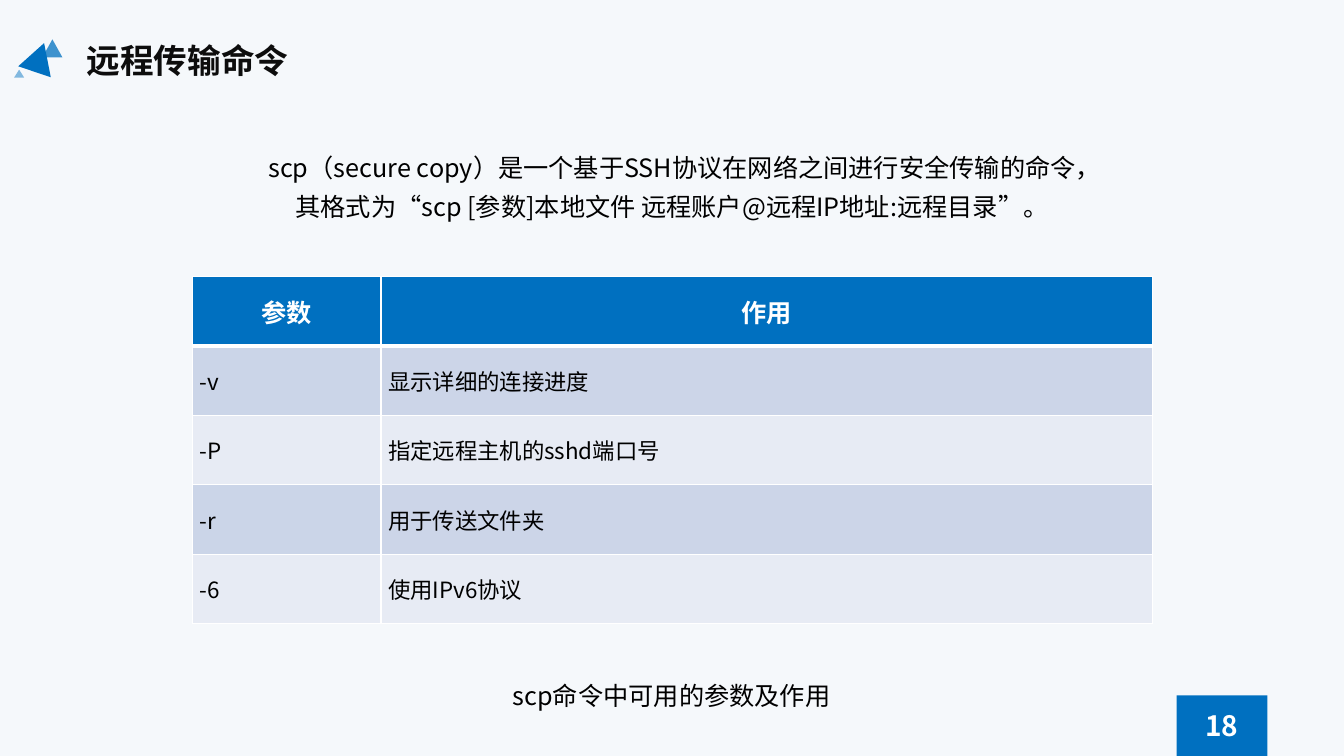
from lxml import etree
from pptx import Presentation
from pptx.dml.color import RGBColor
from pptx.enum.shapes import MSO_SHAPE
from pptx.enum.text import MSO_ANCHOR, MSO_AUTO_SIZE, PP_ALIGN
from pptx.oxml.ns import qn
from pptx.util import Inches, Pt

LEFT, CENTER, JUSTIFY = PP_ALIGN.LEFT, PP_ALIGN.CENTER, PP_ALIGN.JUSTIFY
TOP, MIDDLE = MSO_ANCHOR.TOP, MSO_ANCHOR.MIDDLE
GROW = MSO_AUTO_SIZE.SHAPE_TO_FIT_TEXT
TRIANGLE, RECTANGLE = MSO_SHAPE.ISOSCELES_TRIANGLE, MSO_SHAPE.RECTANGLE

FONT = "Noto Sans CJK SC"
BLUE, WHITE, BLACK = "0070C0", "FFFFFF", "000000"
BACKGROUND, TITLE_COLOR = "F5F8FB", "0D0D0D"
BAND_FILLS = [("CBD5E8", "CCD5E8"), ("E7EBF4", "E7EBF4")]

TITLE = "远程传输命令"
INTRO = (
    "scp（secure copy）是一个基于SSH协议在网络之间进行安全传输的命令，"
    "其格式为“scp [参数]本地文件 远程账户@远程IP地址:远程目录”。"
)
CAPTION = "scp命令中可用的参数及作用"
PAGE_NUMBER = "18"
PARAMETERS = [
    ("参数", "作用"),
    ("-v", "显示详细的连接进度"),
    ("-P", "指定远程主机的sshd端口号"),
    ("-r", "用于传送文件夹"),
    ("-6", "使用IPv6协议"),
]
COLUMN_WIDTHS = [1.87, 7.65]
ROW_HEIGHT = 0.69
TRIANGLES = [
    ((0.42, 0.39, 0.2, 0.18), 0, 75),
    ((0.22, 0.42, 0.34, 0.3), 18.5, 100),
    ((0.14, 0.69, 0.1, 0.08), 0, 47),
]


def rgb(value):
    return RGBColor.from_string(value)


def write(frame, text, size=18, color=BLACK, bold=False, align=CENTER,
          anchor=TOP, spacing=1.0):
    frame.word_wrap = True
    frame.vertical_anchor = anchor
    paragraph = frame.paragraphs[0]
    paragraph.alignment = align
    paragraph.line_spacing = spacing
    run = paragraph.add_run()
    run.text = text
    font = run.font
    font.name, font.size, font.bold = FONT, Pt(size), bold
    font.color.rgb = rgb(color)
    east_asian = etree.SubElement(run._r.get_or_add_rPr(), qn("a:ea"))
    east_asian.set("typeface", FONT)


def add_text(slide, box, text, **text_format):
    shape = slide.shapes.add_textbox(*map(Inches, box))
    write(shape.text_frame, text, **text_format)
    shape.text_frame.auto_size = GROW


def add_block(slide, kind, box, rotation=0, opacity=100):
    shape = slide.shapes.add_shape(kind, *map(Inches, box))
    shape.shadow.inherit = False
    shape.rotation = rotation
    shape.fill.solid()
    shape.fill.fore_color.rgb = rgb(BLUE)
    shape.line.fill.background()
    if opacity < 100:
        color = shape._element.spPr.find(".//" + qn("a:srgbClr"))
        etree.SubElement(color, qn("a:alpha")).set("val", str(opacity * 1000))
    return shape


def add_border(cell, side, width):
    properties = cell._tc.get_or_add_tcPr()
    line = etree.SubElement(properties, qn("a:ln" + side), w=str(Pt(width)))
    fill = etree.SubElement(line, qn("a:solidFill"))
    etree.SubElement(fill, qn("a:srgbClr"), val=WHITE)


def add_parameter_table(slide):
    frame = slide.shapes.add_table(
        len(PARAMETERS), len(COLUMN_WIDTHS), Inches(1.91), Inches(2.74),
        Inches(sum(COLUMN_WIDTHS)), Inches(ROW_HEIGHT * len(PARAMETERS)))
    table = frame.table
    table.horz_banding = False
    for column, width in zip(table.columns, COLUMN_WIDTHS):
        column.width = Inches(width)
    for row_index, texts in enumerate(PARAMETERS):
        table.rows[row_index].height = Inches(ROW_HEIGHT)
        header = row_index == 0
        fills = (BLUE, BLUE) if header else BAND_FILLS[(row_index - 1) % 2]
        for column_index, text in enumerate(texts):
            cell = table.cell(row_index, column_index)
            cell.margin_left = cell.margin_right = Inches(0.07)
            cell.margin_top = cell.margin_bottom = 0
            cell.vertical_anchor = MIDDLE
            for side in "LRTB":
                thick = (row_index, side) in ((0, "B"), (1, "T"))
                add_border(cell, side, 3 if thick else 1)
            cell.fill.solid()
            cell.fill.fore_color.rgb = rgb(fills[column_index])
            if header:
                style = dict(size=18, color=WHITE, bold=True, align=CENTER)
            else:
                style = dict(size=16, align=JUSTIFY)
            write(cell.text_frame, text, anchor=MIDDLE, **style)


def main():
    presentation = Presentation()
    presentation.slide_width = Inches(13.33)
    presentation.slide_height = Inches(7.5)
    slide = presentation.slides.add_slide(presentation.slide_layouts[5])
    slide.background.fill.solid()
    slide.background.fill.fore_color.rgb = rgb(BACKGROUND)

    title = slide.shapes.title
    title.left, title.top, title.width, title.height = map(
        Inches, (0.76, 0.35, 6.48, 0.5))
    write(title.text_frame, TITLE, size=24, color=TITLE_COLOR, bold=True,
          align=LEFT, anchor=MIDDLE)

    for box, rotation, opacity in TRIANGLES:
        add_block(slide, TRIANGLE, box, rotation, opacity)
    page_block = add_block(slide, RECTANGLE, (11.67, 6.9, 0.9, 0.6))
    write(page_block.text_frame, PAGE_NUMBER, size=20, color=WHITE, bold=True,
          anchor=MIDDLE)

    add_parameter_table(slide)
    add_text(slide, (2.55, 1.37, 8.23, 0.85), INTRO, spacing=1.3)
    add_text(slide, (4.84, 6.7, 3.64, 0.4), CAPTION)
    presentation.save("out.pptx")


if __name__ == "__main__":
    main()
